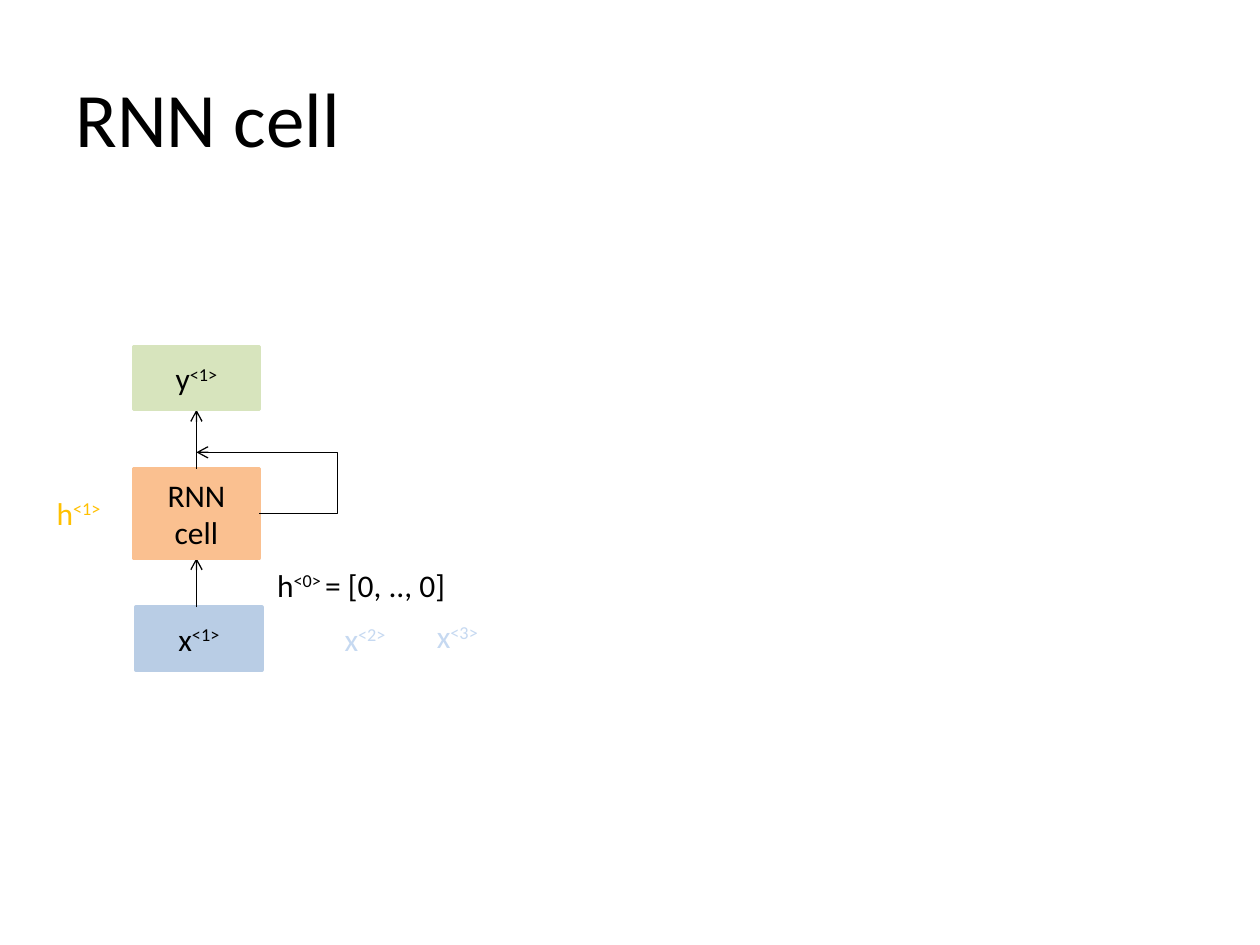
from lxml.etree import SubElement as Sub
from pptx import Presentation as Deck
from pptx.dml.color import RGBColor as Rgb
from pptx.enum.shapes import MSO_CONNECTOR as Link, MSO_SHAPE as Form
from pptx.enum.text import MSO_ANCHOR as Anchor, MSO_AUTO_SIZE as Fit, PP_ALIGN as Align
from pptx.oxml.ns import qn
from pptx.util import Cm, Pt

HUES = {
    "ink": "000000",
    "input": "B9CDE5",
    "cell": "FAC090",
    "output": "D7E4BD",
    "later": "C6D9F1",
    "state": "FFC000",
}


class Sketch:
    """Draws styled boxes, labels and arrows on one slide."""

    font = "Calibri"
    size = 18

    def __init__(self, slide):
        self.slide = slide

    def hue(self, name):
        return Rgb.from_string(HUES[name])

    def fill_text(self, frame, parts, hue="ink", size=None, align=Align.CENTER):
        para = frame.paragraphs[0]
        para.alignment = align
        for text, raised in parts:
            run = para.add_run()
            run.text = text
            run.font.name = self.font
            run.font.size = Pt(size or self.size)
            run.font.color.rgb = self.hue(hue)
            if raised:
                run.font._element.set("baseline", "30000")

    def title(self, text, left, top, width, height):
        frame = self.slide.shapes.add_textbox(Cm(left), Cm(top), Cm(width), Cm(height)).text_frame
        frame.word_wrap = True
        frame.vertical_anchor = Anchor.MIDDLE
        self.fill_text(frame, [(text, False)], size=44, align=Align.LEFT)

    def box(self, parts, hue, left, top, height=1.27, width=2.54):
        shape = self.slide.shapes.add_shape(Form.RECTANGLE, Cm(left), Cm(top), Cm(width), Cm(height))
        shape.shadow.inherit = False
        shape.fill.solid()
        shape.fill.fore_color.rgb = self.hue(hue)
        shape.line.color.rgb = self.hue(hue)
        shape.line.width = Pt(2)
        shape.text_frame.word_wrap = True
        shape.text_frame.vertical_anchor = Anchor.MIDDLE
        self.fill_text(shape.text_frame, parts)

    def label(self, parts, hue, left, top, width, align=Align.CENTER):
        frame = self.slide.shapes.add_textbox(Cm(left), Cm(top), Cm(width), Cm(1.02)).text_frame
        frame.word_wrap = False
        frame.auto_size = Fit.SHAPE_TO_FIT_TEXT
        self.fill_text(frame, parts, hue, align=align)

    def arrow(self, start, end, bend=None):
        kind = Link.STRAIGHT if bend is None else Link.ELBOW
        line = self.slide.shapes.add_connector(kind, *map(Cm, start + end))
        line.line.color.rgb = self.hue("ink")
        line.line.width = Pt(0.75)
        props = line._element.spPr
        Sub(props.find(qn("a:ln")), qn("a:tailEnd"), type="arrow")
        Sub(props, qn("a:effectLst"))
        if bend is not None:
            guides = props.find(qn("a:prstGeom")).find(qn("a:avLst"))
            Sub(guides, qn("a:gd"), name="adj1", fmla=f"val {round(bend * 100000)}")


def sup(base, step):
    return [(base, False), (f"<{step}>", True)]


def main():
    deck = Deck()
    deck.slide_width, deck.slide_height = Cm(25.4), Cm(19.05)
    art = Sketch(deck.slides.add_slide(deck.slide_layouts[6]))
    art.title("RNN cell", 1.27, 0.76, 22.86, 3.18)

    left, mid = 2.69, 3.96
    art.box(sup("x", 1), "input", 2.74, 12.24)
    art.arrow((mid, 12.24), (mid, 11.25))
    art.box([("RNN cell", False)], "cell", left, 9.45, 1.8)
    art.arrow((mid, 9.45), (mid, 8.26))
    art.box(sup("y", 1), "output", left, 6.99)
    art.arrow((5.23, 10.35), (mid, 9.12), bend=-1.24)

    start = [("h", False), ("<0> ", True), ("= [0, .., 0]", False)]
    art.label(start, "ink", 5.26, 11.28, 4.04)
    art.label(sup("x", 2), "later", 6.65, 12.37, 1.42)
    art.label(sup("x", 3), "later", 8.51, 12.32, 1.42)
    art.label(sup("h", 1), "state", 0.89, 9.83, 1.5, Align.LEFT)
    deck.save("out.pptx")


if __name__ == "__main__":
    main()
